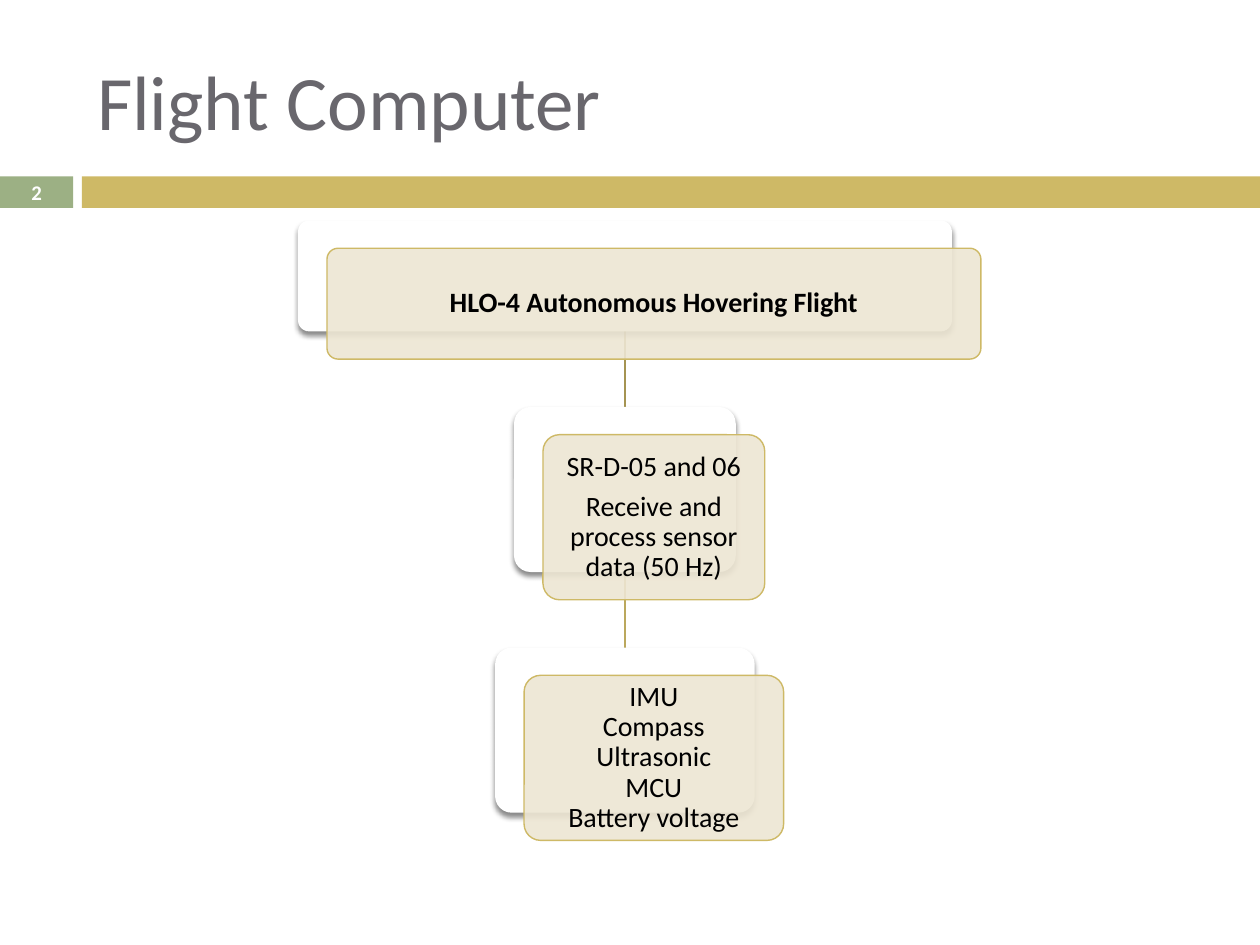
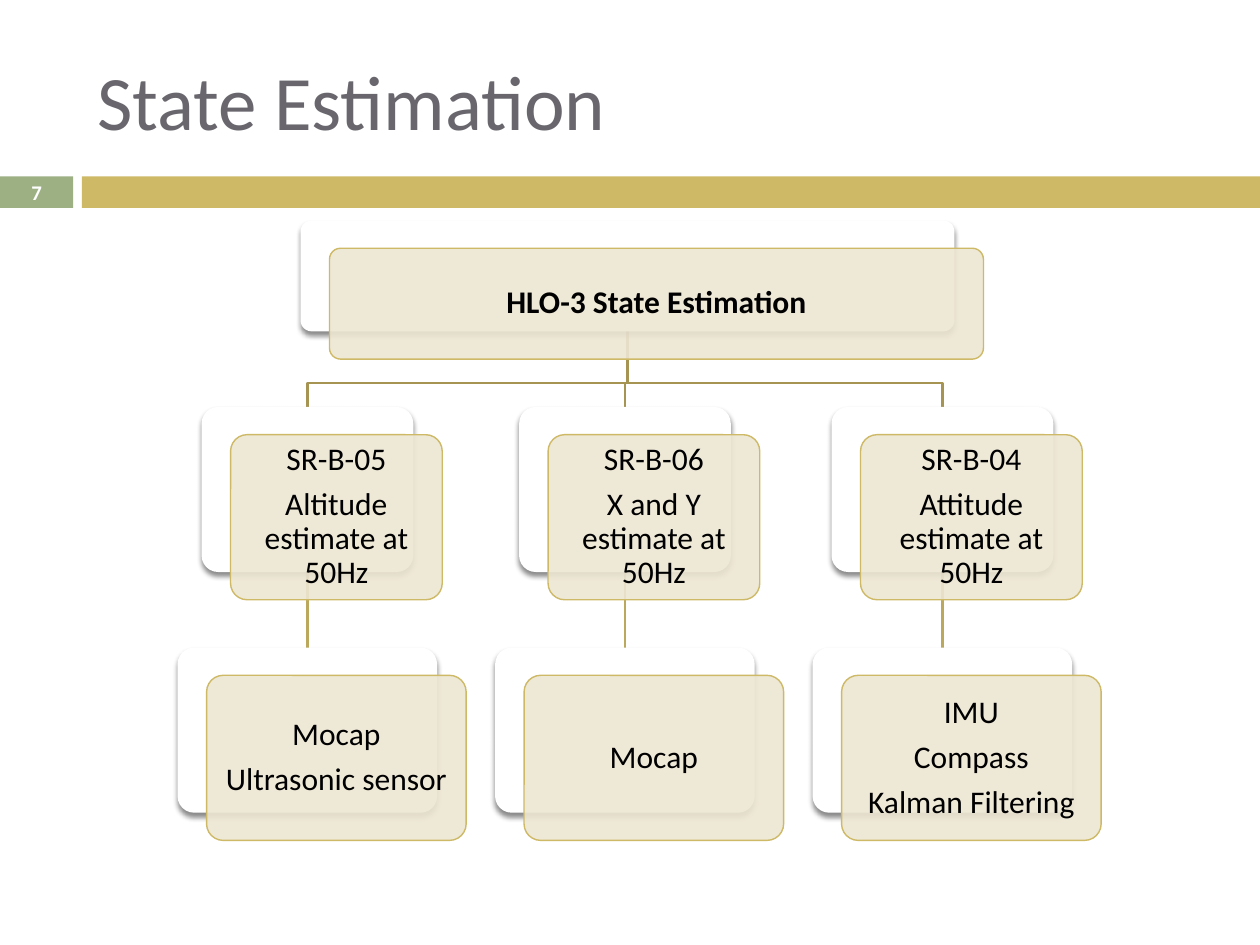
from copy import deepcopy
from lxml.etree import SubElement
from pptx import Presentation
from pptx.dml.color import RGBColor
from pptx.enum.shapes import MSO_CONNECTOR, MSO_SHAPE
from pptx.enum.text import MSO_ANCHOR, PP_ALIGN
from pptx.oxml.ns import qn
from pptx.util import Inches, Pt

FONT = "Calibri"
GOLD, GREEN, GREY, WHITE, BLACK = "CEB966", "9CB084", "69676D", "FFFFFF", "000000"
CARD, UPPER_LINE, LOWER_LINE = "EDE6D3", "A59452", "BBA85D"
TOPS = [1.75, 3.23, 5.14]
HEIGHTS = [0.88, 1.31, 1.31]
ROOT_W, LEAF_W = 5.19, 2.06
BEND_Y = 3.04
SHIFT_X, SHIFT_Y = 0.23, 0.22
CENTER, PITCH = 4.96, 2.52


def rgb(color):
    return RGBColor.from_string(color)


def add_box(s, kind, x, y, w, h, color):
    sp = s.shapes.add_shape(kind, Inches(x), Inches(y), Inches(w), Inches(h))
    sp.shadow.inherit = False
    sp.fill.solid()
    sp.fill.fore_color.rgb = rgb(color)
    sp.line.fill.background()
    return sp


slides = [
    ("Flight Computer", "2", 16, CENTER, "HLO-4 Autonomous Hovering Flight", [
        (CENTER, 1.76,
         ["SR-D-05 and 06", "Receive and process sensor data (50 Hz)"],
         ["IMU\nCompass\nUltrasonic\nMCU\nBattery voltage"]),
    ]),
    ("State Estimation", "7", 18, CENTER + 0.02, "HLO-3 State Estimation", [
        (CENTER - PITCH, 1.68, ["SR-B-05", "Altitude estimate at 50Hz"],
         ["Mocap", "Ultrasonic sensor"]),
        (CENTER, 1.68, ["SR-B-06", "X and Y estimate at 50Hz"], ["Mocap"]),
        (CENTER + PITCH, 1.76, ["SR-B-04", "Attitude estimate at 50Hz"],
         ["IMU", "Compass", "Kalman Filtering"]),
    ]),
]

prs = Presentation()
prs.slide_width, prs.slide_height = Inches(10), Inches(7.5)

for title, number, size, root_x, root_text, branches in slides:
    s = prs.slides.add_slide(prs.slide_layouts[5])
    add_box(s, MSO_SHAPE.RECTANGLE, 0.65, 1.4, 9.35, 0.25, GOLD)
    badge = add_box(s, MSO_SHAPE.RECTANGLE, 0, 1.4, 0.58, 0.25, GREEN)
    head = s.shapes.title
    head.left, head.top = Inches(0.67), Inches(0.25)
    head.width, head.height = Inches(8.92), Inches(1.08)
    for sp, text, pts, color, bold, align in [
        (head, title, 44, GREY, False, PP_ALIGN.LEFT),
        (badge, number, 11.9, WHITE, True, PP_ALIGN.CENTER),
    ]:
        tf = sp.text_frame
        tf.text = text
        tf.vertical_anchor = MSO_ANCHOR.MIDDLE
        p = tf.paragraphs[0]
        p.alignment = align
        font = p.runs[0].font
        font.name, font.size, font.bold = FONT, Pt(pts), bold
        font.color.rgb = rgb(color)

    root_bottom, middle_bottom = [TOPS[i] + HEIGHTS[i] for i in (0, 1)]
    cards = [(root_x, 0, ROOT_W, [root_text])]
    for x, width, middle, leaf in branches:
        cards += [(x, 1, width, middle), (x, 2, LEAF_W, leaf)]
        links = [([(x, middle_bottom), (x, TOPS[2])], LOWER_LINE)]
        if x == root_x:
            links.append(([(x, root_bottom), (x, TOPS[1])], UPPER_LINE))
        else:
            links.append(([(root_x, root_bottom), (root_x, BEND_Y),
                           (x, BEND_Y), (x, TOPS[1])], UPPER_LINE))
        for points, color in links:
            points = [(Inches(px), Inches(py)) for px, py in points]
            if len(points) == 2:
                line = s.shapes.add_connector(MSO_CONNECTOR.STRAIGHT, *points[0], *points[1])
                SubElement(line._element.spPr, qn("a:effectLst"))
            else:
                builder = s.shapes.build_freeform(*points[0])
                builder.add_line_segments(points[1:], close=False)
                line = builder.convert_to_shape()
                line.fill.background()
                line.shadow.inherit = False
            line.line.color.rgb = rgb(color)
            line.line.width = Pt(1.5)

    for x, level, width, texts in cards:
        left, top, height = x - width / 2, TOPS[level], HEIGHTS[level]
        back = add_box(s, MSO_SHAPE.ROUNDED_RECTANGLE, left, top, width, height, WHITE)
        back.adjustments[0] = 0.1
        effects = back._element.spPr.find(qn("a:effectLst"))
        shadow = SubElement(effects, qn("a:outerShdw"), blurRad=str(Pt(3)),
                            dist=str(Pt(2.4)), dir="5400000", rotWithShape="0")
        tint = SubElement(shadow, qn("a:srgbClr"), val=BLACK)
        SubElement(tint, qn("a:alpha"), val="45000")

        front = add_box(s, MSO_SHAPE.ROUNDED_RECTANGLE, left + SHIFT_X, top + SHIFT_Y,
                        width, height, CARD)
        front.adjustments[0] = 0.1
        tint = front._element.spPr.find(qn("a:solidFill")).find(qn("a:srgbClr"))
        SubElement(tint, qn("a:alpha"), val="90000")
        front.line.color.rgb = rgb(GOLD)
        front.line.width = Pt(0.79)
        tf = front.text_frame
        tf.word_wrap = True
        tf.vertical_anchor = MSO_ANCHOR.MIDDLE
        tf.margin_left = tf.margin_right = tf.margin_top = tf.margin_bottom = Inches(0.07)
        for i, text in enumerate(texts):
            p = tf.paragraphs[0] if i == 0 else tf.add_paragraph()
            p.text = text
            p.alignment = PP_ALIGN.CENTER
            p.line_spacing = 0.9
            p.space_after = Pt(size * 0.35)
            for r in p.runs:
                r.font.name, r.font.size, r.font.bold = FONT, Pt(size), level == 0
                r.font.color.rgb = rgb(BLACK)
            for br in p._p.findall(qn("a:br")):
                br.append(deepcopy(p.runs[0]._r.rPr))

prs.save("out.pptx")
